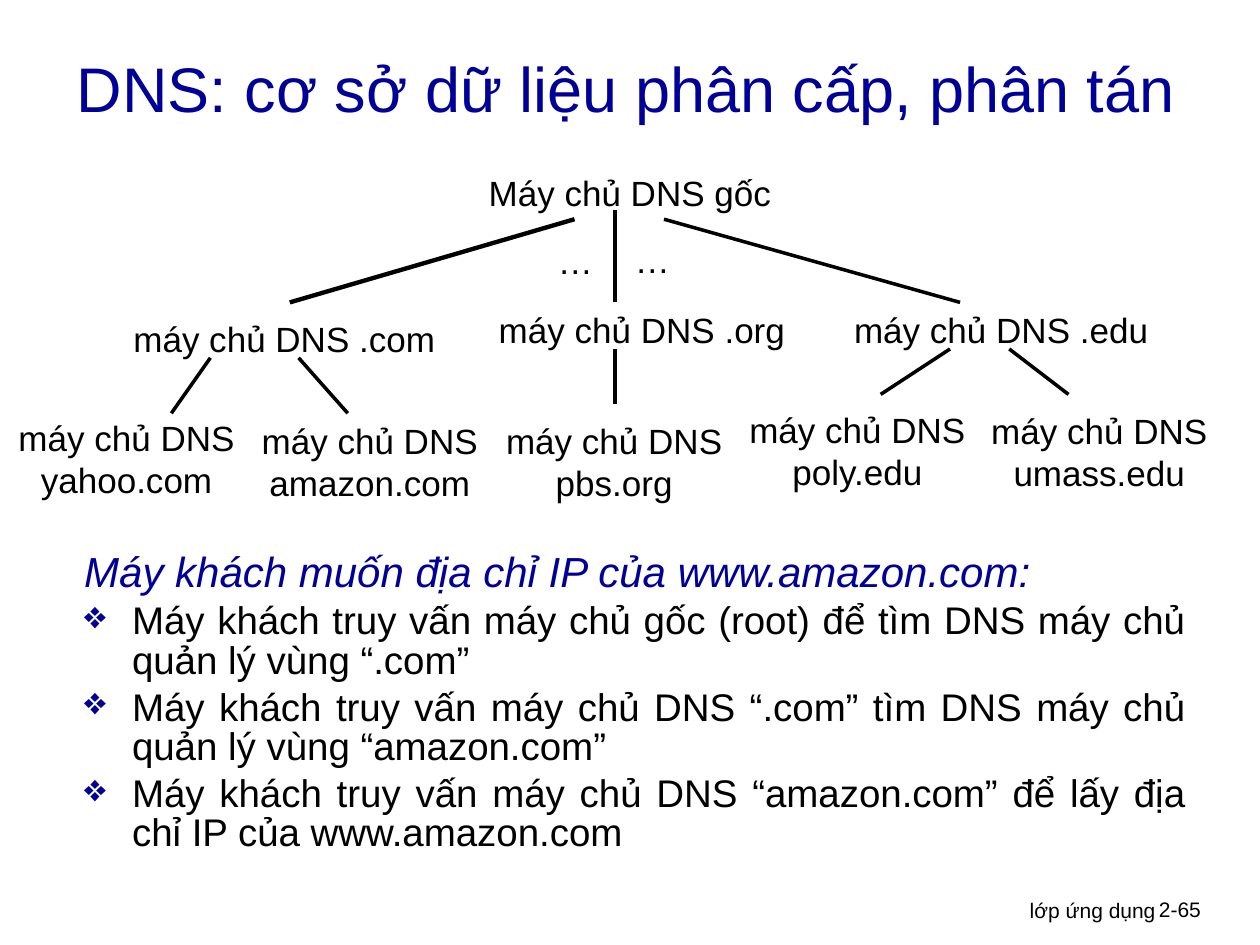
"""Build a slide on the DNS server hierarchy."""
from dataclasses import dataclass

from lxml import etree
from pptx import Presentation
from pptx.dml.color import RGBColor
from pptx.enum import shapes, text
from pptx.oxml import ns
from pptx.util import Inches, Pt


@dataclass(frozen=True)
class Theme:
    """Colours, font and type sizes."""
    font: str = "Arial"
    ink: RGBColor = RGBColor(0, 0, 0)
    accent: RGBColor = RGBColor(0, 0, 0x99)
    title: int = 36
    question: int = 24
    step: int = 22
    label: int = 20
    footer: int = 12


@dataclass(frozen=True)
class Label:
    """A text box with its place in inches."""
    wording: str
    left: float
    top: float
    width: float
    height: float = 0.44
    size: int = Theme.label
    align: text.PP_ALIGN = text.PP_ALIGN.LEFT


@dataclass(frozen=True)
class Branch:
    """A line between two tree levels, in inches."""
    x1: float
    y1: float
    x2: float
    y2: float
    weight: float = 2


THEME = Theme()


def host(domain: str, left: float, top: float) -> Label:
    """Describe one bottom-level server."""
    return Label(f"máy chủ DNS\n{domain}", left, top, 1.93, 0.77,
                 align=text.PP_ALIGN.CENTER)


LABELS = [
    Label("Máy chủ DNS gốc", 3.78, 1.31, 2.46),
    Label("máy chủ DNS .com", 0.96, 2.47, 2.62),
    Label("máy chủ DNS .org", 3.86, 2.4, 2.49),
    Label("máy chủ DNS .edu", 6.68, 2.4, 2.56),
    host("yahoo.com", 0.04, 3.26),
    host("amazon.com", 1.97, 3.28),
    host("pbs.org", 3.91, 3.28),
    host("poly.edu", 5.84, 3.19),
    host("umass.edu", 7.76, 3.2),
    Label("…", 4.33, 1.85, 0.48),
    Label("…", 4.94, 1.84, 0.48),
    Label("lớp ứng dụng", 6.1, 7.07, 3.17, 0.31, THEME.footer, text.PP_ALIGN.RIGHT),
    Label("2-65", 9.1, 7.07, 0.74, 0.3, THEME.footer),
]
BRANCHES = [
    Branch(4.56, 1.74, 2.3, 2.4, 2.5),
    Branch(4.88, 1.67, 4.88, 2.4),
    Branch(5.27, 1.74, 7.62, 2.4),
    Branch(1.67, 2.84, 1.36, 3.28),
    Branch(2.37, 2.84, 2.76, 3.28),
    Branch(4.88, 2.77, 4.88, 3.21),
    Branch(7.54, 2.77, 6.99, 3.13),
    Branch(8.01, 2.77, 8.48, 3.13),
]
QUESTION = "Máy khách muốn địa chỉ IP của www.amazon.com:"
STEPS = [
    "Máy khách truy vấn máy chủ gốc (root) để tìm DNS máy chủ quản lý vùng “.com”",
    "Máy khách truy vấn máy chủ DNS “.com” tìm DNS máy chủ quản lý vùng “amazon.com”",
    "Máy khách truy vấn máy chủ DNS “amazon.com” để lấy địa chỉ IP của www.amazon.com",
]


def style(paragraph, size: int, color: RGBColor, italic: bool = False) -> None:
    """Format every run of a paragraph."""
    for run in paragraph.runs:
        run.font.name = THEME.font
        run.font.size = Pt(size)
        run.font.color.rgb = color
        run.font.italic = italic


def draw_title(slide) -> None:
    """Place and format the title."""
    heading = slide.shapes.title
    heading.left, heading.top = Inches(0.51), Inches(0.18)
    heading.width, heading.height = Inches(9.13), Inches(1.02)
    frame = heading.text_frame
    frame.text = "DNS: cơ sở dữ liệu phân cấp, phân tán"
    frame.auto_size = text.MSO_AUTO_SIZE.NONE
    frame.vertical_anchor = text.MSO_ANCHOR.MIDDLE
    frame.paragraphs[0].alignment = text.PP_ALIGN.LEFT
    style(frame.paragraphs[0], THEME.title, THEME.accent)


def draw_label(slide, label: Label) -> None:
    """Draw one label."""
    box = slide.shapes.add_textbox(Inches(label.left), Inches(label.top),
                                   Inches(label.width), Inches(label.height))
    frame = box.text_frame
    frame.text = label.wording
    frame.word_wrap = label.size == THEME.footer
    for paragraph in frame.paragraphs:
        paragraph.alignment = label.align
        style(paragraph, label.size, THEME.ink)


def draw_branch(slide, branch: Branch) -> None:
    """Draw one line of the tree."""
    line = slide.shapes.add_connector(
        shapes.MSO_CONNECTOR.STRAIGHT, Inches(branch.x1), Inches(branch.y1),
        Inches(branch.x2), Inches(branch.y2))
    line.line.color.rgb = THEME.ink
    line.line.width = Pt(branch.weight)
    etree.SubElement(line._element.spPr, ns.qn("a:effectLst"))


def add_bullet(paragraph) -> None:
    """Give a paragraph a coloured diamond bullet."""
    props = paragraph._p.get_or_add_pPr()
    color = etree.SubElement(props, ns.qn("a:buClr"))
    etree.SubElement(color, ns.qn("a:srgbClr")).set("val", str(THEME.accent))
    etree.SubElement(props, ns.qn("a:buChar")).set("char", "❖")


def draw_lookup(slide) -> None:
    """Write the question and the lookup steps."""
    box = slide.shapes.add_textbox(Inches(0.57), Inches(4.34), Inches(8.94), Inches(2.33))
    frame = box.text_frame
    frame.word_wrap = True
    frame.text = "\n".join([QUESTION, *STEPS])
    question, *steps = frame.paragraphs
    style(question, THEME.question, THEME.accent, italic=True)
    for step in steps:
        add_bullet(step)
        step.space_before = Pt(4.4)
        style(step, THEME.step, THEME.ink)
    for paragraph in frame.paragraphs:
        paragraph.alignment = text.PP_ALIGN.JUSTIFY
        paragraph.line_spacing = 0.85
        props = paragraph._p.get_or_add_pPr()
        props.set("marL", str(Inches(0.38)))
        props.set("indent", str(Inches(-0.38)))


def main() -> None:
    """Build and save the slide."""
    deck = Presentation()
    deck.slide_width, deck.slide_height = Inches(10), Inches(7.5)
    slide = deck.slides.add_slide(deck.slide_layouts[5])
    draw_title(slide)
    for branch in BRANCHES:
        draw_branch(slide, branch)
    for label in LABELS:
        draw_label(slide, label)
    draw_lookup(slide)
    deck.save("out.pptx")


if __name__ == "__main__":
    main()
